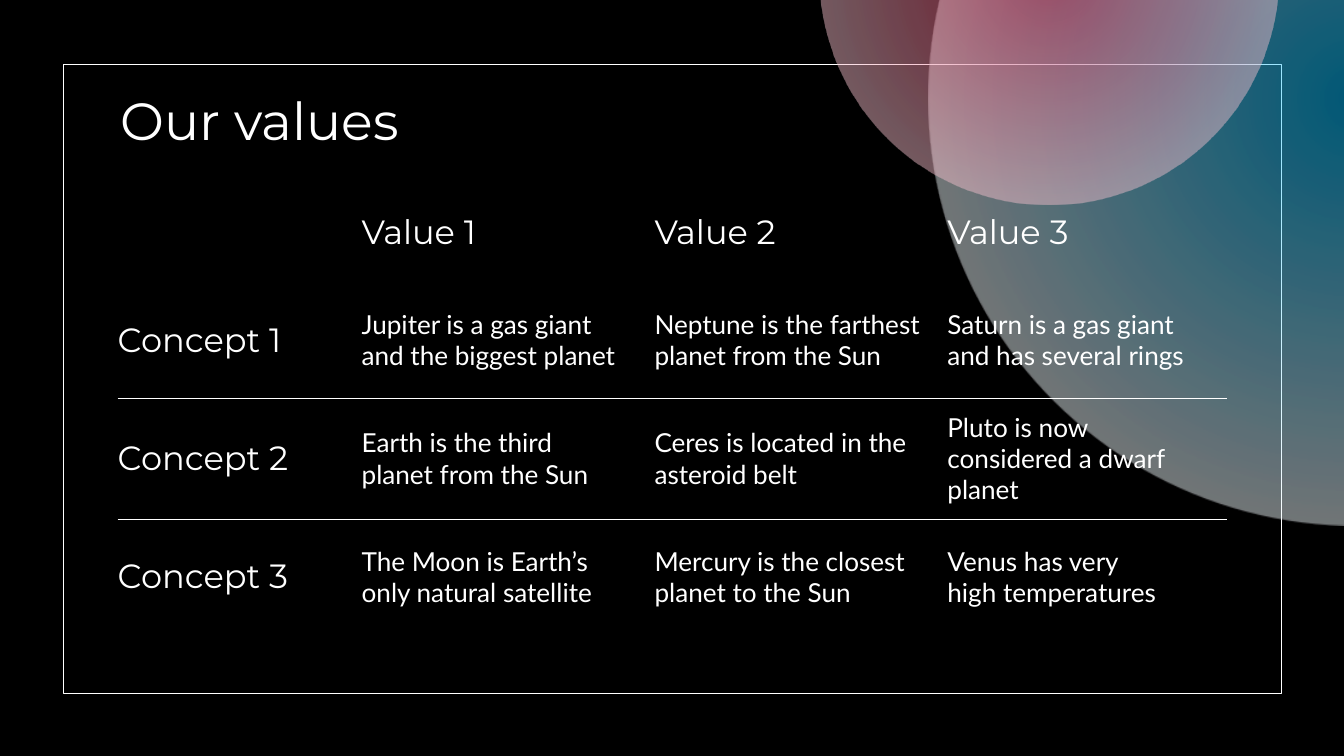
from lxml import etree
from pptx import Presentation
from pptx.dml.color import RGBColor as Rgb
from pptx.enum.shapes import MSO_SHAPE as Shape
from pptx.enum.text import MSO_ANCHOR as Anchor
from pptx.oxml import parse_xml
from pptx.oxml.ns import nsdecls, qn
from pptx.util import Cm, Pt

HUES = {"back": "000000", "ink": "FFFFFF", "blue": "00BFFF", "red": "E72755"}
HEAD, BODY = "Montserrat", "Lato"
PAD = Cm(0.51)
PLAIN = "{2D5ABB26-0587-4C30-8999-92F81FD0307C}"  # no style, no grid

ROWS = [
    ["", "Value 1", "Value 2", "Value 3"],
    ["Concept 1", "Jupiter is a gas giant and the biggest planet",
     "Neptune is the farthest planet from the Sun",
     "Saturn is a gas giant and has several rings"],
    ["Concept 2", "Earth is the third planet from the Sun",
     "Ceres is located in the asteroid belt",
     "Pluto is now considered a dwarf planet"],
    ["Concept 3", "The Moon is Earth’s only natural satellite",
     "Mercury is the closest planet to the Sun",
     "Venus has very\nhigh temperatures"],
]


def color(name):
    return Rgb.from_string(HUES[name])


def write(frame, text, size, face):
    frame.text = text
    for para in frame.paragraphs:
        para.font.size = Pt(size)
        para.font.name = face
        para.font.color.rgb = color("ink")


def add_frame(slide):
    box = slide.shapes.add_shape(
        Shape.RECTANGLE, Cm(2.39), Cm(2.44), Cm(46.05), Cm(23.77))
    box.shadow.inherit = False
    box.fill.background()
    box.line.color.rgb = color("ink")
    box.line.width = Pt(0.75)


def add_glow(slide, left, top, size, hue, fade):
    """Add a see-through disc that turns white at fade percent."""
    disc = slide.shapes.add_shape(
        Shape.OVAL, Cm(left), Cm(top), Cm(size), Cm(size))
    disc.rotation = 20.4
    disc.shadow.inherit = False
    disc.line.fill.background()
    stops = "".join(
        f'<a:gs pos="{pos * 1000}"><a:srgbClr val="{HUES[name]}">'
        '<a:alpha val="46000"/></a:srgbClr></a:gs>'
        for pos, name in ((0, hue), (fade, "ink"), (100, "ink")))
    grad = parse_xml(
        f'<a:gradFill {nsdecls("a")} rotWithShape="1"><a:gsLst>{stops}</a:gsLst>'
        '<a:path path="circle"><a:fillToRect l="50000" t="50000" r="50000"'
        ' b="50000"/></a:path></a:gradFill>')
    disc.element.spPr.find(qn("a:prstGeom")).addnext(grad)


def add_title(slide, text):
    box = slide.shapes.add_textbox(Cm(4.04), Cm(3.02), Cm(42.72), Cm(3.02))
    frame = box.text_frame
    frame.word_wrap = True
    frame.vertical_anchor = Anchor.MIDDLE
    frame.margin_left = frame.margin_right = PAD
    frame.margin_top = frame.margin_bottom = PAD
    write(frame, text, 56, HEAD)


def add_rule(cell, side):
    """Draw a thin cell border; call before the fill is set."""
    line = etree.SubElement(
        cell._tc.get_or_add_tcPr(), qn(f"a:ln{side}"), w=str(Pt(0.75)))
    fill = etree.SubElement(line, qn("a:solidFill"))
    etree.SubElement(fill, qn("a:srgbClr"), val=HUES["ink"])


def add_grid(slide):
    wide = [8.71] + [11.07] * 3
    high = [3.76] + [4.37] * 3
    table = slide.shapes.add_table(
        len(high), len(wide), Cm(4.45), Cm(6.91),
        Cm(sum(wide)), Cm(sum(high))).table
    table.first_row = table.horz_banding = False
    table._tbl.tblPr.find(qn("a:tableStyleId")).text = PLAIN
    for col, width in zip(table.columns, wide):
        col.width = Cm(width)
    for row, height in zip(table.rows, high):
        row.height = Cm(height)

    for r, texts in enumerate(ROWS):
        for c, text in enumerate(texts):
            cell = table.cell(r, c)
            # Rules run between the concept rows only
            if r > 1:
                add_rule(cell, "T")
            if 0 < r < len(ROWS) - 1:
                add_rule(cell, "B")
            cell.fill.background()
            cell.vertical_anchor = Anchor.MIDDLE
            cell.margin_left = PAD if c else 0
            cell.margin_right = cell.margin_top = cell.margin_bottom = PAD
            if text:
                label = r == 0 or c == 0
                write(cell.text_frame, text,
                      36 if label else 28, HEAD if label else BODY)


def main():
    deck = Presentation()
    deck.slide_width, deck.slide_height = Cm(50.8), Cm(28.58)
    slide = deck.slides.add_slide(deck.slide_layouts[6])

    # Backdrop
    slide.background.fill.solid()
    slide.background.fill.fore_color.rgb = color("back")
    add_frame(slide)
    add_glow(slide, 35.08, -12.47, 32.33, "blue", 57)
    add_glow(slide, 30.96, -9.63, 17.35, "red", 76)

    # Content
    add_title(slide, "Our values")
    add_grid(slide)
    deck.save("out.pptx")


if __name__ == "__main__":
    main()
